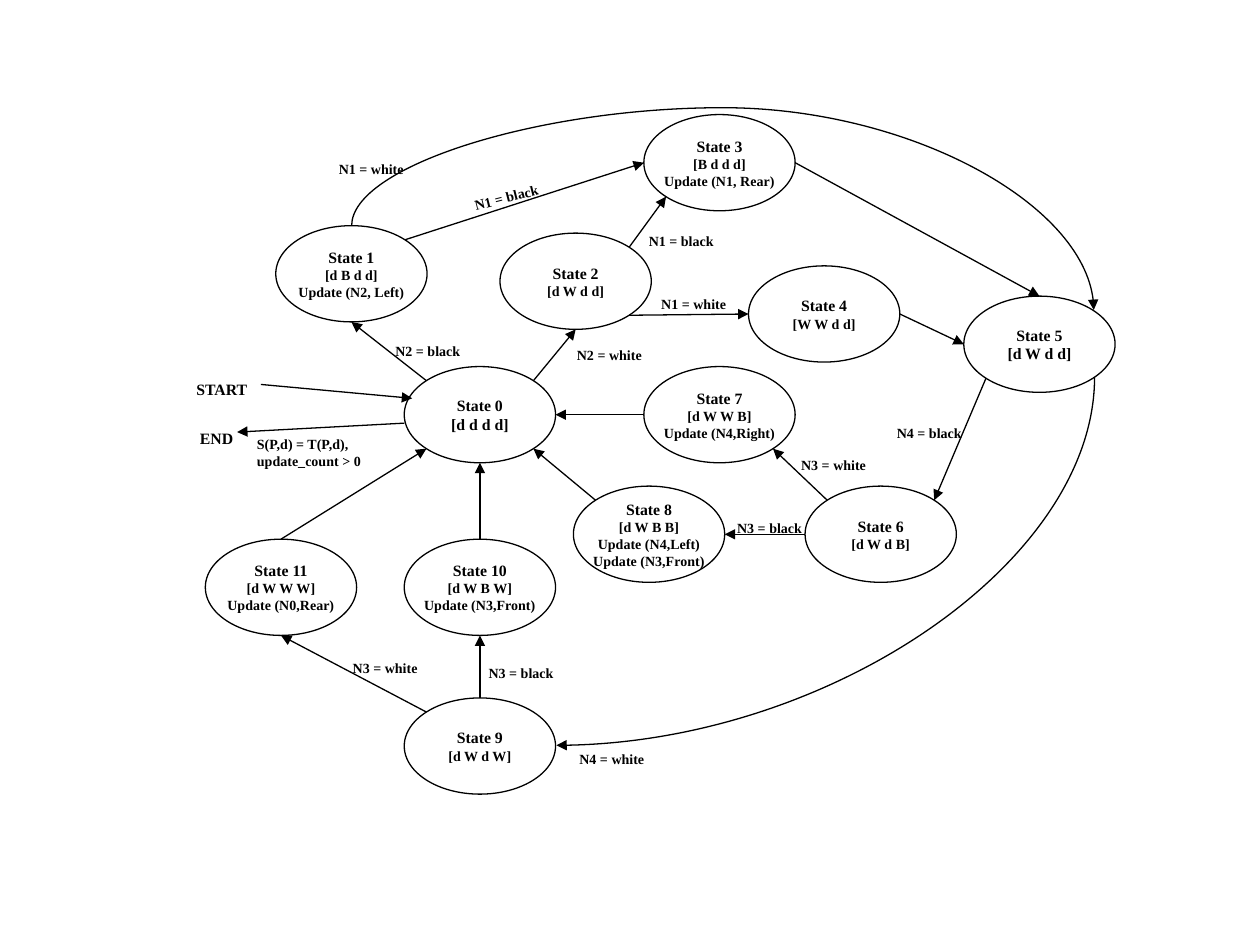
import math

import pptx
import pptx.dml.color
import pptx.enum.shapes
import pptx.enum.text
import pptx.oxml
import pptx.oxml.ns
import pptx.util
from lxml import etree

Cm = pptx.util.Cm
Pt = pptx.util.Pt
qn = pptx.oxml.ns.qn
CONNECTOR = pptx.enum.shapes.MSO_CONNECTOR
ALIGN = pptx.enum.text.PP_ALIGN

COLORS = {"ink": "000000", "paper": "FFFFFF"}
FONT = "Times New Roman"
STATE_W, STATE_H = 3.05, 1.94

# Connection sites of an ellipse, counter-clockwise from the top
TOP, TOP_LEFT, LEFT, BOTTOM_LEFT, BOTTOM, BOTTOM_RIGHT, RIGHT, TOP_RIGHT = range(8)


def write_text(shape, lines, sizes, align=ALIGN.LEFT, anchor=pptx.enum.text.MSO_ANCHOR.TOP):
    """Write one paragraph per line; the last size serves all remaining lines."""
    frame = shape.text_frame
    frame.word_wrap = False
    frame.vertical_anchor = anchor
    for number, line in enumerate(lines):
        paragraph = frame.add_paragraph() if number else frame.paragraphs[0]
        paragraph.text = line
        paragraph.alignment = align
        for run in paragraph.runs:
            run.font.name = FONT
            run.font.size = Pt(sizes[min(number, len(sizes) - 1)])
            run.font.bold = True
            run.font.color.rgb = pptx.dml.color.RGBColor.from_string(COLORS["ink"])


def add_arrow(kind, start, end):
    """Add a connector with an arrowhead at its end; points are in cm."""
    arrow = slide.shapes.add_connector(kind, *(Cm(v) for v in (*start, *end)))
    arrow.line.width = Pt(0.75)
    arrow.line.color.rgb = pptx.dml.color.RGBColor.from_string(COLORS["ink"])
    properties = arrow._element.spPr
    etree.SubElement(properties.find(qn("a:ln")), qn("a:tailEnd"), type="triangle")
    etree.SubElement(properties, qn("a:effectLst"))
    return arrow


deck = pptx.Presentation()
deck.slide_width, deck.slide_height = Cm(25.4), Cm(19.05)
slide = deck.slides.add_slide(deck.slide_layouts[6])

# States: left, top, lines below the name, their size
states = [
    (8.15, 7.39, ["[d d d d]"], 9),
    (5.56, 4.55, ["[d B d d]", "Update (N2, Left)"], 8),
    (10.08, 4.7, ["[d W d d]"], 8),
    (12.98, 2.31, ["[B d d d]", "Update (N1, Rear)"], 8),
    (15.09, 5.36, ["[W W d d]"], 8),
    (19.43, 5.97, ["[d W d d]"], 9),
    (16.23, 9.8, ["[d W d B]"], 8),
    (12.98, 7.39, ["[d W W B]", "Update (N4,Right)"], 8),
    (11.56, 9.8, ["[d W B B]", "Update (N4,Left)", "Update (N3,Front)"], 8),
    (8.15, 14.07, ["[d W d W]"], 8),
    (8.15, 10.87, ["[d W B W]", "Update (N3,Front)"], 8),
    (4.14, 10.87, ["[d W W W]", "Update (N0,Rear)"], 8),
]
ellipses = []
for number, (left, top, details, size) in enumerate(states):
    ellipse = slide.shapes.add_shape(
        pptx.enum.shapes.MSO_SHAPE.OVAL, Cm(left), Cm(top), Cm(STATE_W), Cm(STATE_H))
    ellipse.shadow.inherit = False
    ellipse.fill.solid()
    ellipse.fill.fore_color.rgb = pptx.dml.color.RGBColor.from_string(COLORS["paper"])
    ellipse.line.color.rgb = pptx.dml.color.RGBColor.from_string(COLORS["ink"])
    ellipse.line.width = Pt(0.75)
    write_text(ellipse, [f"State {number}", *details], [9, size],
               align=ALIGN.CENTER, anchor=pptx.enum.text.MSO_ANCHOR.MIDDLE)
    ellipses.append(ellipse)

# Straight transitions: state and site where each starts and ends
transitions = [
    (0, TOP_LEFT, 1, BOTTOM), (0, TOP_RIGHT, 2, BOTTOM),
    (2, TOP_RIGHT, 3, BOTTOM_LEFT), (1, TOP_RIGHT, 3, LEFT),
    (2, BOTTOM_RIGHT, 4, LEFT), (6, LEFT, 8, RIGHT),
    (6, TOP_LEFT, 7, BOTTOM_RIGHT), (7, LEFT, 0, RIGHT),
    (9, TOP, 10, BOTTOM), (9, TOP_LEFT, 11, BOTTOM),
    (8, TOP_LEFT, 0, BOTTOM_RIGHT), (10, TOP, 0, BOTTOM),
    (11, TOP, 0, BOTTOM_LEFT), (4, RIGHT, 5, LEFT),
    (3, RIGHT, 5, TOP), (5, BOTTOM_LEFT, 6, TOP_RIGHT),
]
for source, source_site, target, target_site in transitions:
    ends = [("a:stCxn", source, source_site), ("a:endCxn", target, target_site)]
    points = []
    for tag, state, site in ends:
        angle = math.radians(90 + 45 * site)
        left, top = states[state][:2]
        points.append((left + STATE_W / 2 * (1 + math.cos(angle)),
                       top + STATE_H / 2 * (1 - math.sin(angle))))
    arrow = add_arrow(CONNECTOR.STRAIGHT, *points)
    # begin_connect knows only four sites, an ellipse has eight
    for tag, state, site in ends:
        etree.SubElement(arrow._element.nvCxnSpPr.cNvCxnSpPr, qn(tag),
                         id=str(ellipses[state].shape_id), idx=str(site))

add_arrow(CONNECTOR.STRAIGHT, (5.26, 7.75), (8.31, 8.03))
add_arrow(CONNECTOR.STRAIGHT, (8.15, 8.53), (4.78, 8.71))

# Curves into and out of state 5, both turned by 90 degrees
white_from_1 = add_arrow(CONNECTOR.CURVE, (13.72, 12.88), (15.42, -2.08))
white_from_5 = add_arrow(CONNECTOR.CURVE, (12.93, 5.89), (20.35, 16.74))
for curve in (white_from_1, white_from_5):
    curve._element.spPr.find(qn("a:xfrm")).set("rot", "5400000")
bend = white_from_1._element.spPr.find(qn("a:prstGeom")).find(qn("a:avLst"))
etree.SubElement(bend, qn("a:gd"), name="adj1", fmla="val -139900")
white_from_5._element.spPr.find(qn("a:prstGeom")).set("prst", "curvedConnector2")

# Labels: text, left, top, width, height, size, rotation
conditions = [
    ("N2 = black", 7.72, 6.78, 0), ("N2 = white", 11.38, 6.86, 0),
    ("N1 = black", 9.3, 3.68, 345.7), ("N1 = white", 13.08, 5.84, 0),
    ("N4 = white", 11.43, 15.01, 0), ("N4 = black", 17.83, 8.43, 0),
    ("N3 = black", 9.6, 13.28, 0), ("N3 = white", 6.86, 13.18, 0),
    ("N3 = white", 15.9, 9.07, 0), ("N3 = black", 14.61, 10.34, 0),
    ("N1 = black", 12.83, 4.57, 0), ("N1 = white", 6.58, 3.12, 0),
]
labels = [(text, left, top, 1.82, 0.58, 8, turn) for text, left, top, turn in conditions]
labels += [
    ("START", 3.71, 7.54, 1.57, 0.64, 9, 0),
    ("END", 3.78, 8.51, 1.19, 0.64, 9, 0),
    ("S(P,d) = T(P,d), \vupdate_count > 0", 4.93, 8.66, 2.67, 0.94, 8, 0),
]
for text, left, top, width, height, size, turn in labels:
    label = slide.shapes.add_textbox(Cm(left), Cm(top), Cm(width), Cm(height))
    label.rotation = turn
    write_text(label, [text], [size])
    label.text_frame.auto_size = pptx.enum.text.MSO_AUTO_SIZE.SHAPE_TO_FIT_TEXT

deck.save("out.pptx")
